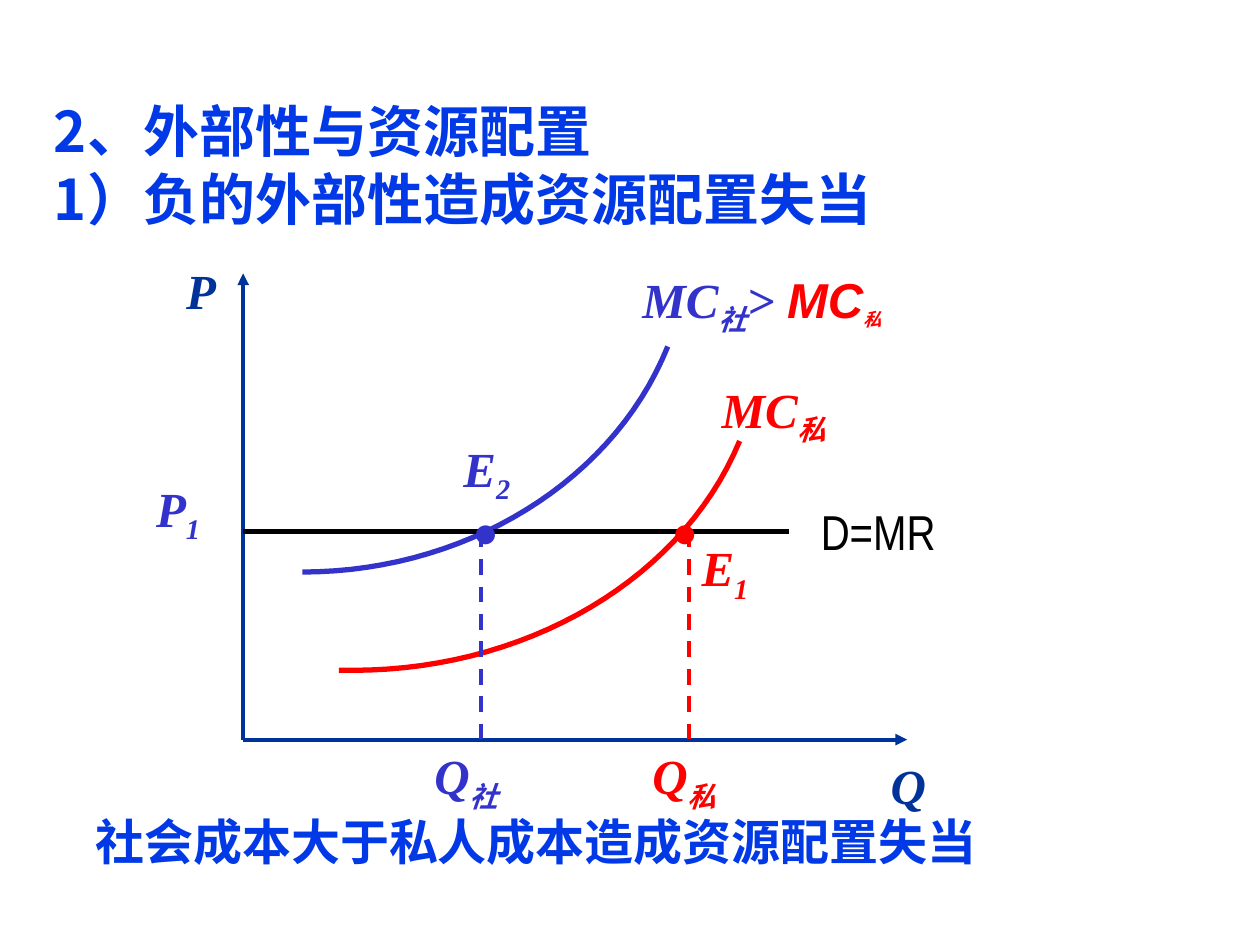
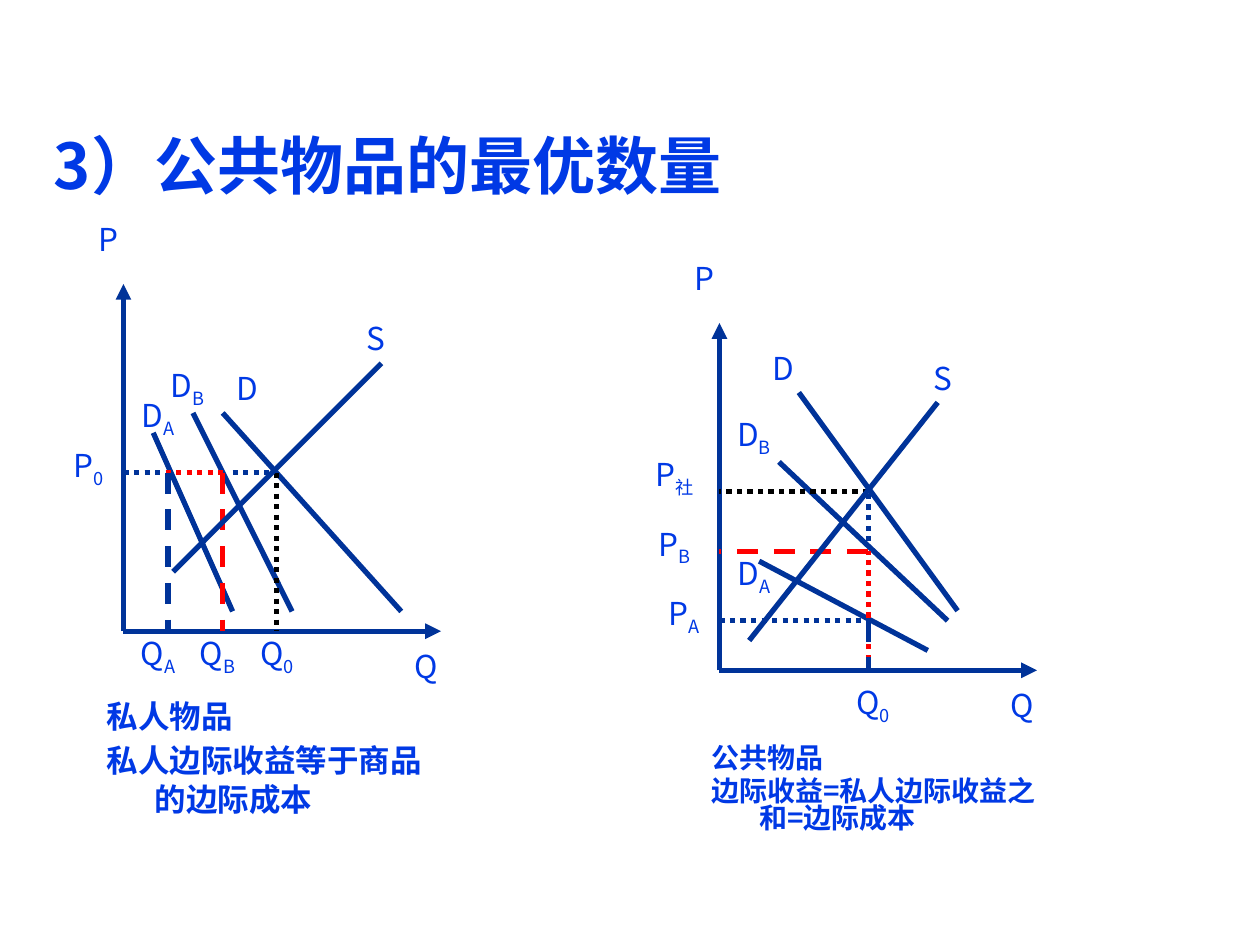
from lxml.etree import SubElement
from pptx import Presentation
from pptx.dml.color import RGBColor
from pptx.enum.dml import MSO_LINE
from pptx.enum.shapes import MSO_CONNECTOR
from pptx.enum.text import MSO_ANCHOR, PP_ALIGN
from pptx.oxml.ns import qn
from pptx.util import Inches, Pt

COLORS = {
    "heading": "0039E5",
    "axis": "003399",
    "social": "3333CC",
    "red": "FF0000",
    "black": "000000",
}
CJK = "Noto Sans CJK SC"
SERIF = "Times New Roman"
GRID = 2.52 / 32
DASH, DOT = MSO_LINE.DASH, MSO_LINE.ROUND_DOT


def rgb(name):
    return RGBColor.from_string(COLORS[name])


def style_paragraph(p, size, color, font=CJK, bold=False, italic=False):
    f = p.font
    f.size, f.bold, f.italic = Pt(size), bold, italic
    f.color.rgb = rgb(color)
    f.name = font
    SubElement(p._p.get_or_add_pPr().get_or_add_defRPr(), qn("a:ea"), typeface=CJK)


def add_runs(p, text):
    runs = []
    for i, part in enumerate(text.split("_")):
        r = p.add_run()
        r.text = part
        if i % 2:
            r._r.get_or_add_rPr().set("baseline", "-25000")
        runs.append(r)
    return runs


def add_text(slide, box, lines, size, color="heading", anchor=MSO_ANCHOR.TOP,
             align=PP_ALIGN.LEFT, leading=None, before=0, hang=0, **font):
    tf = slide.shapes.add_textbox(*map(Inches, box)).text_frame
    tf.word_wrap, tf.vertical_anchor = True, anchor
    for i, line in enumerate(lines):
        p = tf.add_paragraph() if i else tf.paragraphs[0]
        p.alignment = align
        if leading:
            p.line_spacing = Pt(round(size * leading, 1))
            p.space_before = Pt(before if i else 0)
        if hang:
            pPr = p._p.get_or_add_pPr()
            pPr.set("marL", str(Inches(hang)))
            pPr.set("indent", str(-Inches(hang)))
        style_paragraph(p, size, color, **font)
        add_runs(p, line)
    return tf


def add_title(slide, lines, size):
    add_text(slide, (0.33, 0.67, 9.4, 1.26), lines, size,
             anchor=MSO_ANCHOR.MIDDLE, leading=1.21, bold=True)


class Plot:
    def __init__(self, slide, left, base, unit, weight):
        self.slide, self.left, self.base = slide, left, base
        self.unit, self.weight = unit, weight

    def at(self, x, y):
        return self.left + x * self.unit, self.base - y * self.unit

    def line(self, start, end, color="axis", dash=None, weight=None, arrow=False):
        ends = map(Inches, self.at(*start) + self.at(*end))
        c = self.slide.shapes.add_connector(MSO_CONNECTOR.STRAIGHT, *ends)
        c.line.color.rgb = rgb(color)
        c.line.width = Pt(weight or self.weight)
        if dash:
            c.line.dash_style = dash
        spPr = c._element.spPr
        if arrow:
            SubElement(spPr.get_or_add_ln(), qn("a:tailEnd"), type="triangle")
        SubElement(spPr, qn("a:effectLst"))

    def axes(self, width, height):
        self.line((0, 0), (width, 0), arrow=True)
        self.line((0, 0), (0, height), arrow=True)

    def curve(self, control, color, lead_in=(), steps=30):
        points = list(lead_in)
        for i in range(steps + 1):
            t = i / steps
            weights = ((1 - t) ** 3, 3 * t * (1 - t) ** 2, 3 * t * t * (1 - t), t ** 3)
            points.append(tuple(sum(w * c[k] for w, c in zip(weights, control))
                                for k in (0, 1)))
        points = [tuple(map(Inches, self.at(*pt))) for pt in points]
        builder = self.slide.shapes.build_freeform(*points[0])
        builder.add_line_segments(points[1:], close=False)
        sp = builder.convert_to_shape()
        sp.shadow.inherit = False
        sp.fill.background()
        sp.line.color.rgb = rgb(color)
        sp.line.width = Pt(3)

    def label(self, text, x, y, width, height, size, color="heading", **options):
        box = (*self.at(x, y), width, height)
        return add_text(self.slide, box, [text], size, color, **options)

    def centered_label(self, *args, **options):
        tf = self.label(*args, anchor=MSO_ANCHOR.MIDDLE, align=PP_ALIGN.CENTER, **options)
        tf.margin_left = tf.margin_right = 0


def externality_plot(slide, left, base):
    plot = Plot(slide, left, base, 1, 2.25)
    price, q_social, q_private = 1.65, 1.89, 3.54
    plot.axes(5.27, 3.7)
    plot.curve([(0.47, 1.33), (1.77, 1.33), (2.94, 2.05), (3.37, 3.12)], "social")
    plot.curve([(0.87, 0.55), (2.26, 0.55), (3.49, 1.28), (3.94, 2.37)], "red",
               lead_in=[(0.76, 0.55)])
    plot.line((q_private, price), (q_private, 0), "red", DASH)
    plot.line((q_social, price), (q_social, 0), "social", DASH)
    plot.line((4.33, price), (0, price), "black", weight=3)

    for text, x, y, width, color in [
        ("P", -0.55, 3.85, 0.47, "axis"),
        ("Q", 5.04, -0.08, 0.55, "axis"),
        ("MC_私", 3.7, 2.91, 1.34, "red"),
        ("P_1", -0.79, 2.12, 0.79, "social"),
        ("Q_社", 1.42, 0, 0.94, "social"),
        ("Q_私", 3.15, 0, 1.1, "red"),
        ("E_1", 3.54, 1.65, 0.63, "red"),
        ("E_2", 1.65, 2.44, 0.63, "social"),
    ]:
        plot.label(text, x, y, width, 0.57, 28, color, font=SERIF, bold=True, italic=True)

    tf = plot.label("MC_社_> ", 3.07, 3.78, 3.78, 0.57, 28, "social",
                    font=SERIF, bold=True, italic=True)
    private_runs = add_runs(tf.paragraphs[0], "MC_私")
    for r in private_runs:
        r.font.color.rgb = rgb("red")
        r.font.name = "Arial"
    private_runs[1].font.size = Pt(18)

    for x, width, color in [(1.73, 0.87, "social"), (3.31, 0.32, "red")]:
        plot.label("•", x, 2.04, width, 0.77, 40, color, font=SERIF, bold=True)
    plot.centered_label("D=MR", 4.49, 1.97, 1.1, 0.63, 28, "black", font="Arial Narrow")


def goods_plot(slide, left, base, lines, labels):
    plot = Plot(slide, left, base, GRID, 3)
    plot.axes(32, 35)
    for line in lines:
        plot.line(*line)
    for text, x, y in [("P", -4, 42), ("Q", 28, -1), *labels]:
        plot.centered_label(text, x, y, 0.39, 0.39, 18)


def goods_caption(slide, box, lines, size, leading):
    add_text(slide, box, lines, size, leading=leading, before=size * 0.2,
             hang=0.38, bold=True)


def externality_slide(prs):
    s = prs.slides.add_slide(prs.slide_layouts[6])
    add_title(s, ["2、外部性与资源配置", "1）负的外部性造成资源配置失当"], 32)
    externality_plot(s, 1.93, 5.87)
    add_text(s, (0.66, 6.27, 8.36, 0.8), ["社会成本大于私人成本造成资源配置失当"], 28,
             anchor=MSO_ANCHOR.MIDDLE, leading=1.21, bold=True)


def public_goods_slide(prs):
    s = prs.slides.add_slide(prs.slide_layouts[6])
    add_title(s, ["3）公共物品的最优数量"], 36)
    goods_plot(
        s, 0.98, 5.01,
        [
            ((3, 20), (11, 2)),
            ((7, 22), (17, 2)),
            ((0, 16), (10, 16), "red", DOT),
            ((10, 22), (28, 2)),
            ((0, 16), (4, 16), "axis", DOT),
            ((11, 16), (15, 16), "axis", DOT),
            ((4.5, 16), (4.5, 0), "axis", DASH),
            ((10, 16), (10, 0), "red", DASH),
            ((15.4, 16), (15.4, 0), "black", DOT),
            ((5, 6), (26, 27)),
        ],
        [("D_A", 1, 24), ("D_B", 4, 27), ("D", 10, 27), ("P_0", -6, 19),
         ("Q_A", 1, 0), ("Q_B", 7, 0), ("Q_0", 13, 0), ("S", 23, 32)])
    goods_caption(s, (0.75, 5.48, 2.84, 1.26),
                  ["私人物品", "私人边际收益等于商品的边际成本"], 18, 1.21)
    goods_plot(
        s, 5.71, 5.32,
        [
            ((4, 11), (21, 2)),
            ((6, 21), (23, 5)),
            ((15, 0), (15, 12), "red", DOT),
            ((8, 28), (24, 6)),
            ((0, 5), (15, 5), "axis", DOT),
            ((15, 13), (15, 18), "axis", DOT),
            ((15, 5), (15, 0), "axis", DASH),
            ((15, 12), (0, 12), "red", DASH),
            ((15, 18), (0, 18), "black", DOT),
            ((3, 3), (22, 27)),
        ],
        [("D_A", 1, 12), ("D_B", 1, 26), ("D", 4, 33), ("P_A", -6, 8),
         ("P_B", -7, 15), ("P_社", -7, 22), ("Q_0", 13, -1), ("S", 20, 32)])
    goods_caption(s, (5.55, 5.88, 2.91, 0.63),
                  ["公共物品", "边际收益=私人边际收益之和=边际成本"], 16, 0.97)


def main():
    prs = Presentation()
    prs.slide_width, prs.slide_height = Inches(10), Inches(7.5)
    externality_slide(prs)
    public_goods_slide(prs)
    prs.save("out.pptx")


if __name__ == "__main__":
    main()
